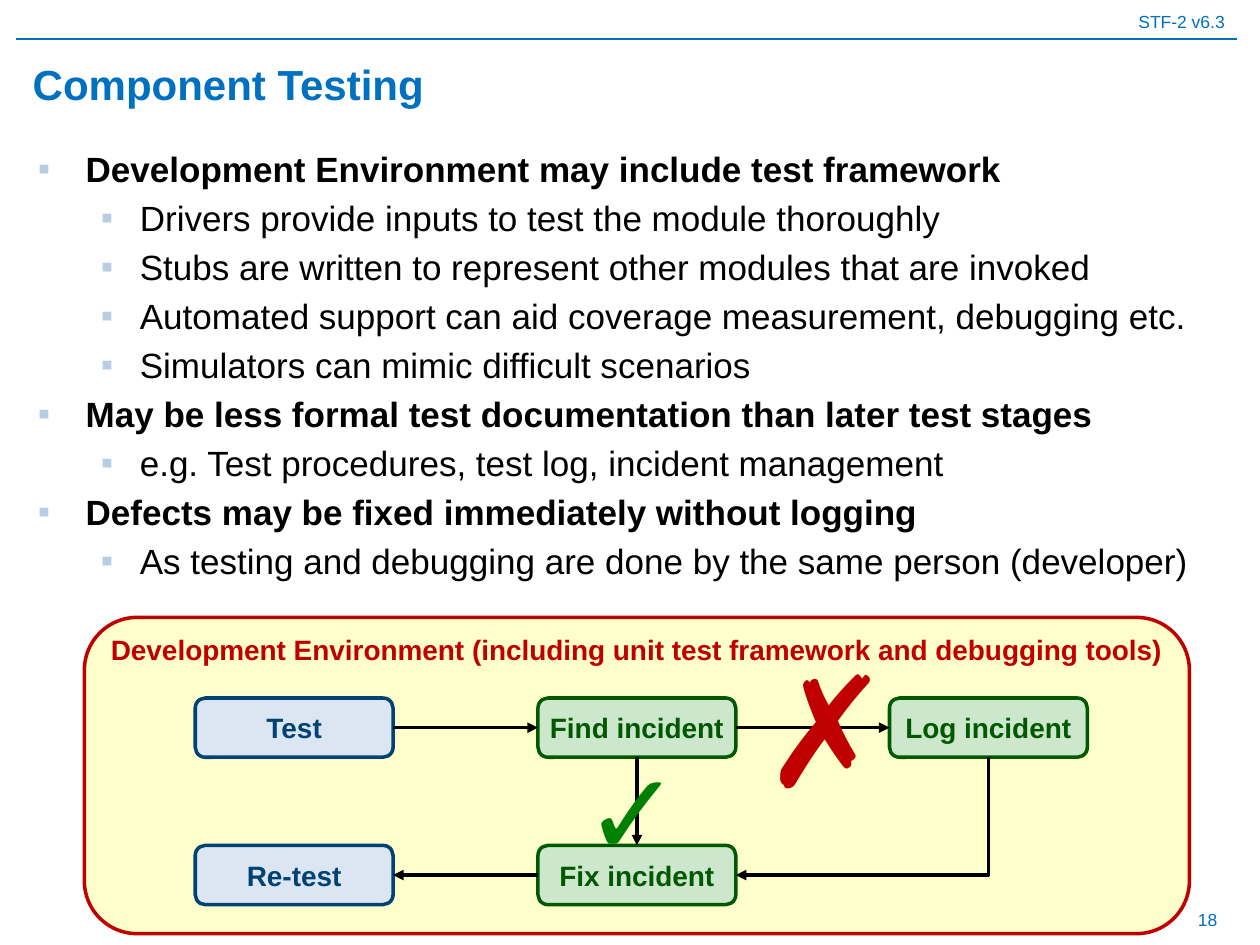
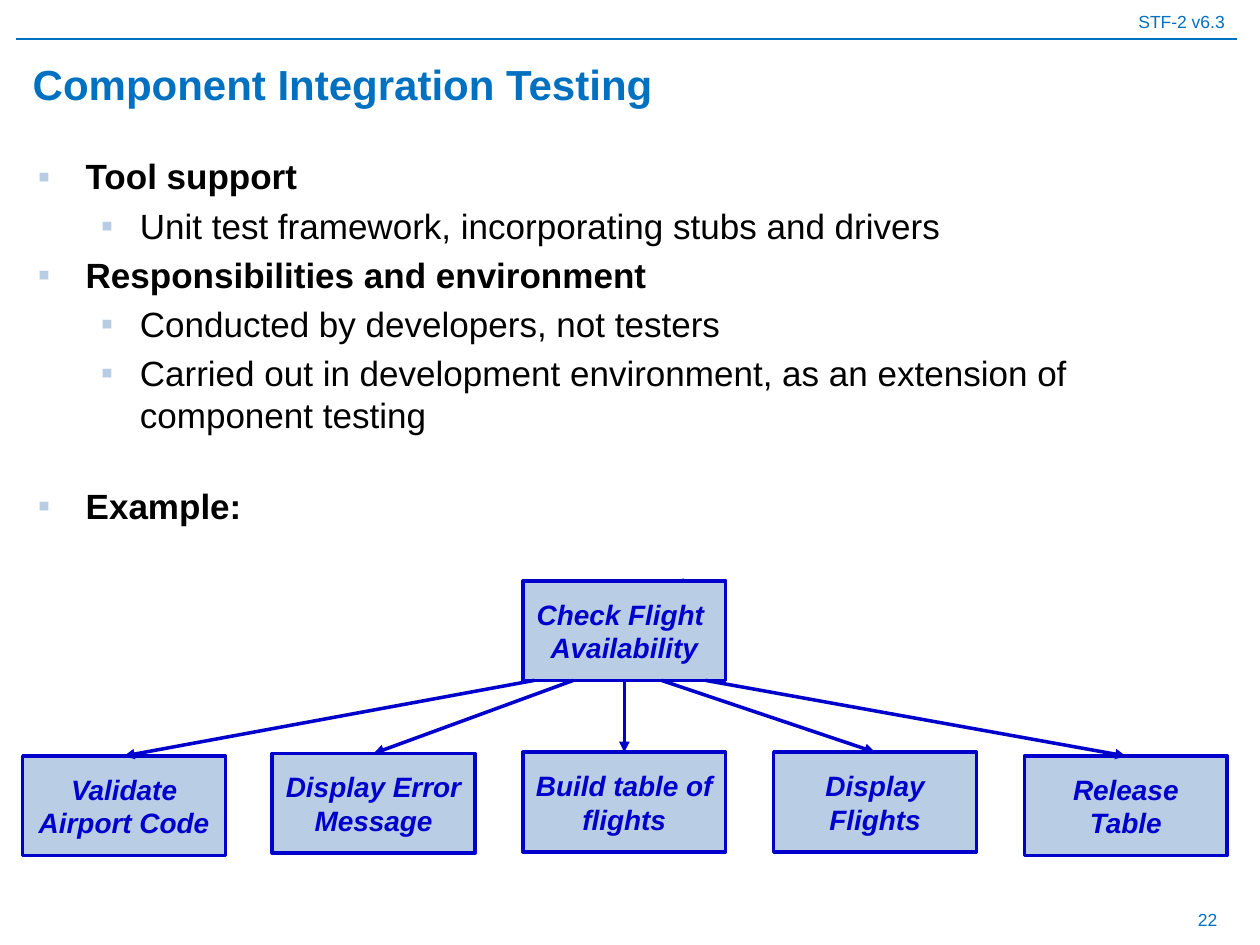
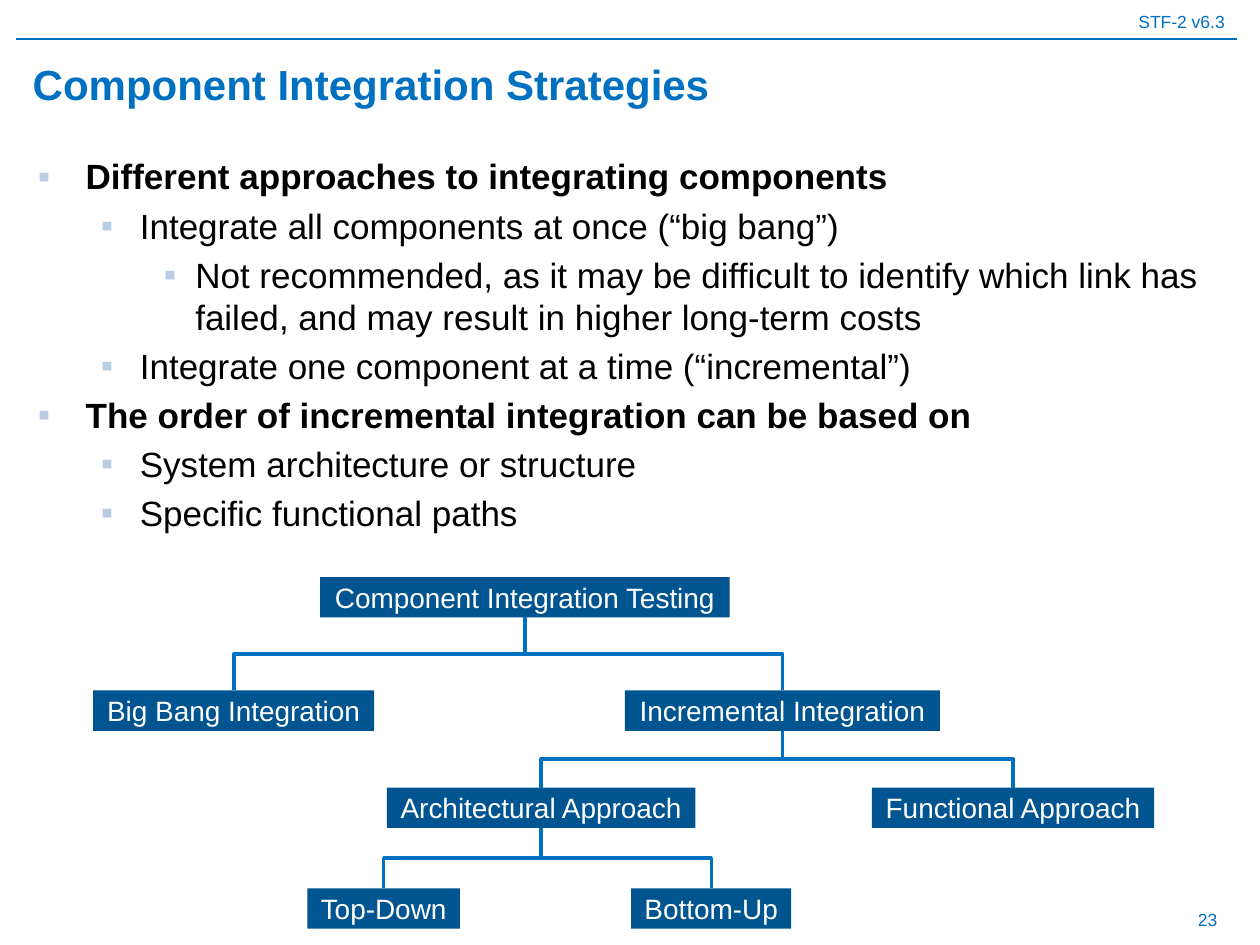
from dataclasses import dataclass
from typing import Optional

from pptx import Presentation
from pptx.dml.color import RGBColor
from pptx.enum.shapes import MSO_CONNECTOR as CONN, MSO_SHAPE as SHAPE
from pptx.enum.text import MSO_ANCHOR as ANCHOR, MSO_AUTO_SIZE as AUTO, PP_ALIGN as ALIGN
from pptx.oxml.ns import qn
from pptx.util import Emu, Pt
from lxml.etree import SubElement

PX = 9144
FONT = "Arial"
TOP, LEFT, BOTTOM, RIGHT = range(4)
INDENTS = [(38, -38), (81, -31), (125, -25)]
COLORS = {
    "accent": "0070C0", "text": "000000", "bullet": "B8CCE4", "white": "FFFFFF",
    "red": "C00000", "cream": "FFFFCC", "navy": "004274", "pale_blue": "DCE6F2",
    "green": "005800", "pale_green": "CCE7CC", "tick": "008000",
    "module": "B9CDE5", "royal": "0000CC", "call": "0066CC", "node": "005490",
}


@dataclass(frozen=True)
class Style:
    fill: str
    color: str
    line: Optional[str] = None
    shape: SHAPE = SHAPE.RECTANGLE
    bold: bool = False
    italic: bool = False
    anchor: ANCHOR = ANCHOR.MIDDLE
    insets: tuple = (10, 5, 10, 5)
    wrap: bool = True


@dataclass(frozen=True)
class Box:
    text: str
    x: int
    y: int
    w: int
    h: int


@dataclass(frozen=True)
class Item:
    text: str
    level: int = 0
    before: Optional[int] = None


ROUND = SHAPE.ROUNDED_RECTANGLE
FRAME = Style("cream", "red", "red", ROUND, True, anchor=ANCHOR.TOP, insets=(4, 0, 4, 5))
TEST_STEP = Style("pale_blue", "navy", "navy", ROUND, True, insets=(4, 5, 4, 5))
INCIDENT_STEP = Style("pale_green", "green", "green", ROUND, True, insets=(4, 5, 4, 5))
MODULE = Style("module", "royal", "royal", bold=True, italic=True)
NODE = Style("node", "white", wrap=False)


def px(value: float) -> Emu:
    return Emu(int(value * PX))


def rgb(name: str) -> RGBColor:
    return RGBColor.from_string(COLORS[name])


def put_text(tf, text, *, size=16, color="text", bold=False, italic=False, align=ALIGN.LEFT,
             anchor=ANCHOR.TOP, insets=(10, 5, 10, 5), wrap=True) -> None:
    tf.word_wrap = wrap
    tf.auto_size = AUTO.NONE
    tf.vertical_anchor = anchor
    tf.margin_left, tf.margin_top, tf.margin_right, tf.margin_bottom = map(px, insets)
    for i, line in enumerate(text.split("\n")):
        p = tf.add_paragraph() if i else tf.paragraphs[0]
        p.alignment = align
        r = p.add_run()
        r.text = line
        f = r.font
        f.name, f.size, f.bold, f.italic = FONT, Pt(size), bold, italic
        f.color.rgb = rgb(color)


def place(sp, x: int, y: int, w: int, h: int) -> None:
    sp.left, sp.top, sp.width, sp.height = map(px, (x, y, w, h))


def add_label(s, box: Box, **fmt):
    sp = s.shapes.add_textbox(*map(px, (box.x, box.y, box.w, box.h)))
    put_text(sp.text_frame, box.text, **fmt)
    return sp


def add_box(s, box: Box, style: Style):
    sp = s.shapes.add_shape(style.shape, *map(px, (box.x, box.y, box.w, box.h)))
    sp.shadow.inherit = False
    sp.fill.solid()
    sp.fill.fore_color.rgb = rgb(style.fill)
    if style.line:
        sp.line.color.rgb = rgb(style.line)
        sp.line.width = Pt(2)
    else:
        sp.line.fill.background()
    put_text(sp.text_frame, box.text, color=style.color, bold=style.bold, italic=style.italic,
             align=ALIGN.CENTER, anchor=style.anchor, insets=style.insets, wrap=style.wrap)
    return sp


def style_line(c, color: str, width: float, arrow: bool) -> None:
    c.line.color.rgb = rgb(color)
    c.line.width = Pt(width)
    sp_pr = c.element.spPr
    if arrow:
        SubElement(sp_pr.find(qn("a:ln")), qn("a:tailEnd"), type="triangle")
    SubElement(sp_pr, qn("a:effectLst"))


def add_line(s, start, end, color: str, width: float = 2, arrow: bool = True):
    c = s.shapes.add_connector(CONN.STRAIGHT, *map(px, (*start, *end)))
    style_line(c, color, width, arrow)
    return c


def join(s, a, side_a: int, b, side_b: int, color: str) -> None:
    c = add_line(s, (0, 0), (1, 1), color)
    c.begin_connect(a, side_a)
    c.end_connect(b, side_b)


def add_elbow(s, start, end, color: str, arrow: bool = False, preset: str = "bentConnector3") -> None:
    (x1, y1), (x2, y2) = start, end
    w, h = y2 - y1, abs(x2 - x1)
    left, top = (x1 + x2 - w) / 2, (y1 + y2 - h) / 2
    c = s.shapes.add_connector(CONN.ELBOW, *map(px, (left, top, left + w, top + h)))
    xfrm = c.element.spPr.find(qn("a:xfrm"))
    xfrm.set("rot", str((90 if x2 < x1 else 270) * 60000))
    if x2 > x1:
        xfrm.set("flipH", "1")
    c.element.spPr.find(qn("a:prstGeom")).set("prst", preset)
    style_line(c, color, 2, arrow)


def add_bullets(tf, items) -> None:
    put_text(tf, "\n".join(item.text for item in items), size=20)
    for p, item in zip(tf.paragraphs, items):
        p.level = item.level
        p.runs[0].font.bold = item.level == 0
        if item.before:
            p.space_before = Pt(item.before)
        p_pr = p._p.get_or_add_pPr()
        for name, value in zip(("marL", "indent"), INDENTS[item.level]):
            p_pr.set(name, str(px(value)))
        SubElement(SubElement(p_pr, qn("a:buClr")), qn("a:srgbClr"), val=COLORS["bullet"])
        SubElement(p_pr, qn("a:buChar"), char="▪")


def add_slide(prs, title: str, number: int, items, body_top: int = 118, body_height: int = 591):
    s = prs.slides.add_slide(prs.slide_layouts[1])
    add_label(s, Box("STF-2 v6.3", 0, 4, 1000, 27), size=10, color="accent",
              align=ALIGN.RIGHT, insets=(10, 5, 28, 5))
    add_line(s, (13, 31), (982, 31), "accent", 0.75, arrow=False)
    add_label(s, Box(str(number), 743, 710, 233, 40), size=10, color="accent",
              align=ALIGN.RIGHT, anchor=ANCHOR.MIDDLE)
    place(s.shapes.title, 16, 39, 961, 55)
    put_text(s.shapes.title.text_frame, title, size=24, color="accent", bold=True, anchor=ANCHOR.MIDDLE)
    body = s.placeholders[1]
    place(body, 20, body_top, 965, body_height)
    add_bullets(body.text_frame, items)
    return s


def component_testing(prs) -> None:
    s = add_slide(prs, "Component Testing", 18, [
        Item("Development Environment may include test framework"),
        Item("Drivers provide inputs to test the module thoroughly", 1),
        Item("Stubs are written to represent other modules that are invoked", 1),
        Item("Automated support can aid coverage measurement, debugging etc.", 1),
        Item("Simulators can mimic difficult scenarios", 1),
        Item("May be less formal test documentation than later test stages"),
        Item("e.g. Test procedures, test log, incident management", 1),
        Item("Defects may be fixed immediately without logging"),
        Item("As testing and debugging are done by the same person (developer)", 1),
    ], 112, 567)
    add_box(s, Box("Development Environment (including unit test framework and debugging tools)",
                   67, 490, 877, 251), FRAME)
    w, h = 157, 47
    cols, rows = (155, 427, 706), (554, 671)
    test, find, log, fix, retest = (
        add_box(s, Box(text, cols[col], rows[row], w, h), style)
        for text, col, row, style in [
            ("Test", 0, 0, TEST_STEP),
            ("Find incident", 1, 0, INCIDENT_STEP),
            ("Log incident", 2, 0, INCIDENT_STEP),
            ("Fix incident", 1, 1, INCIDENT_STEP),
            ("Re-test", 0, 1, TEST_STEP),
        ])
    join(s, test, RIGHT, find, LEFT, "text")
    join(s, find, RIGHT, log, LEFT, "text")
    join(s, find, BOTTOM, fix, TOP, "text")
    join(s, fix, LEFT, retest, RIGHT, "text")
    add_elbow(s, (cols[2] + w / 2, rows[0] + h), (cols[1] + w, rows[1] + h / 2), "text",
              arrow=True, preset="bentConnector2")
    add_label(s, Box("✗", 595, 498, 99, 158), size=88, color="red", wrap=False)
    add_label(s, Box("✓", 454, 582, 93, 121), size=66, color="tick", wrap=False)


def integration_testing(prs) -> None:
    s = add_slide(prs, "Component Integration Testing", 22, [
        Item("Tool support"),
        Item("Unit test framework, incorporating stubs and drivers", 1),
        Item("Responsibilities and environment"),
        Item("Conducted by developers, not testers", 1),
        Item("Carried out in development environment, as an extension of component testing", 1),
        Item("Example:", before=28),
    ])
    w, h = 161, 79
    modules = [
        ("Validate Airport Code", 600, 424),
        ("Display Error Message", 598, 455),
        ("Build table of flights", 597, None),
        ("Display Flights", 597, 525),
        ("Release Table", 600, 560),
    ]
    children = [add_box(s, Box(text, 18 + i * 795 // 4, top, w, h), MODULE)
                for i, (text, top, _) in enumerate(modules)]
    add_line(s, (487, 507), (543, 459), "call", 1)
    parent = add_box(s, Box("Check Flight \nAvailability", 415, 461, w, h), MODULE)
    for child, (_, top, start_x) in zip(children, modules):
        if start_x is None:
            join(s, parent, BOTTOM, child, TOP, "royal")
        else:
            add_line(s, (start_x, 461 + h), (start_x, top), "royal").end_connect(child, TOP)


def integration_strategies(prs) -> None:
    s = add_slide(prs, "Component Integration Strategies", 23, [
        Item("Different approaches to integrating components"),
        Item("Integrate all components at once (“big bang”)", 1),
        Item("Not recommended, as it may be difficult to identify which link has failed, "
             "and may result in higher long-term costs", 2),
        Item("Integrate one component at a time (“incremental”)", 1),
        Item("The order of incremental integration can be based on"),
        Item("System architecture or structure", 1),
        Item("Specific functional paths", 1),
    ])
    h = 32
    root = Box("Component Integration Testing", 254, 458, 325, h)
    big_bang = Box("Big Bang Integration", 74, 548, 223, h)
    incremental = Box("Incremental Integration", 496, 548, 250, h)
    architectural = Box("Architectural Approach", 307, 625, 245, h)
    functional = Box("Functional Approach", 692, 625, 224, h)
    top_down = Box("Top-Down", 244, 705, 121, h)
    bottom_up = Box("Bottom-Up", 501, 705, 127, h)
    tree = [
        (root, (big_bang, incremental)),
        (incremental, (architectural, functional)),
        (architectural, (top_down, bottom_up)),
    ]
    add_box(s, root, NODE)
    for parent, branches in tree:
        for child in branches:
            add_box(s, child, NODE)
    for parent, branches in tree:
        for child in branches:
            add_elbow(s, (parent.x + parent.w / 2, parent.y + h),
                      (child.x + child.w / 2, child.y), "accent")


def main() -> None:
    prs = Presentation()
    prs.slide_width, prs.slide_height = px(1000), px(750)
    component_testing(prs)
    integration_testing(prs)
    integration_strategies(prs)
    prs.save("out.pptx")


if __name__ == "__main__":
    main()
